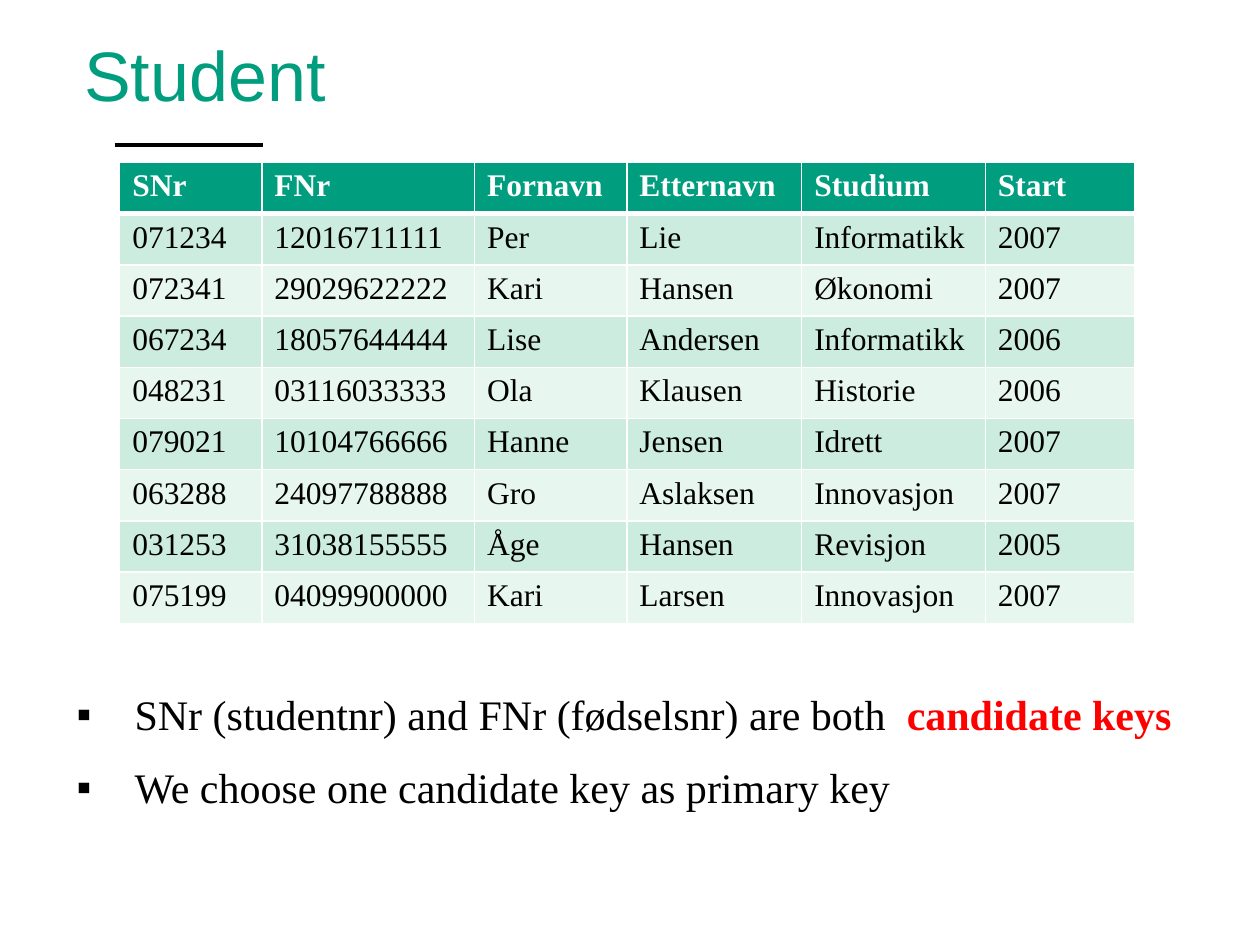
from pptx import Presentation
from pptx.dml.color import RGBColor
from pptx.enum.shapes import MSO_CONNECTOR
from pptx.enum.text import MSO_ANCHOR
from pptx.oxml.ns import qn
from pptx.util import Inches, Pt
from lxml.etree import SubElement

GREEN = RGBColor(0x00, 0x9D, 0x7F)
BAND_DARK = RGBColor(0xCB, 0xEC, 0xDE)
BAND_LIGHT = RGBColor(0xE7, 0xF6, 0xEF)
WHITE = RGBColor(0xFF, 0xFF, 0xFF)
BLACK = RGBColor(0, 0, 0)
RED = RGBColor(0xFF, 0, 0)
SERIF = "Times New Roman"

COLUMN_WIDTHS = [1.13, 1.69, 1.21, 1.39, 1.46, 1.19]
STUDENTS = [
    ("SNr", "FNr", "Fornavn", "Etternavn", "Studium", "Start"),
    ("071234", "12016711111", "Per", "Lie", "Informatikk", "2007"),
    ("072341", "29029622222", "Kari", "Hansen", "Økonomi", "2007"),
    ("067234", "18057644444", "Lise", "Andersen", "Informatikk", "2006"),
    ("048231", "03116033333", "Ola", "Klausen", "Historie", "2006"),
    ("079021", "10104766666", "Hanne", "Jensen", "Idrett", "2007"),
    ("063288", "24097788888", "Gro", "Aslaksen", "Innovasjon", "2007"),
    ("031253", "31038155555", "Åge", "Hansen", "Revisjon", "2005"),
    ("075199", "04099900000", "Kari", "Larsen", "Innovasjon", "2007"),
]
KEY_POINTS = [
    [("SNr (studentnr) and FNr (fødselsnr) are both  ", {}),
     ("candidate keys", {"color": RED, "bold": True})],
    [("We choose one candidate key as primary key", {})],
]


def add_text(paragraph, text, size=18, font=SERIF, color=BLACK, bold=False):
    run = paragraph.add_run()
    run.text = text
    run.font.size = Pt(size)
    run.font.name = font
    run.font.color.rgb = color
    run.font.bold = bold


def add_text_frame(slide, box, anchor):
    frame = slide.shapes.add_textbox(*box).text_frame
    frame.word_wrap = True
    frame.vertical_anchor = anchor
    return frame


def add_title(slide, box, text):
    frame = add_text_frame(slide, box, MSO_ANCHOR.BOTTOM)
    frame.margin_left = frame.margin_right = 0
    frame.margin_top = frame.margin_bottom = 0
    add_text(frame.paragraphs[0], text, size=40, font="Arial", color=GREEN)


def add_rule(slide, box):
    left, top, width, height = box
    rule = slide.shapes.add_connector(
        MSO_CONNECTOR.STRAIGHT, left, top, left + width, top + height)
    rule.line.color.rgb = BLACK
    rule.line.width = Pt(2.25)
    SubElement(rule._element.spPr, qn("a:effectLst"))


def set_borders(cell, **widths):
    properties = cell._tc.get_or_add_tcPr()
    for position, side in enumerate("LRTB"):
        border = properties.makeelement(
            qn("a:ln" + side), {"w": str(Pt(widths.get(side, 1)))})
        fill = SubElement(border, qn("a:solidFill"))
        SubElement(fill, qn("a:srgbClr"), val=str(WHITE))
        properties.insert(position, border)


def add_student_table(slide, box):
    height = box[3]
    table = slide.shapes.add_table(
        len(STUDENTS), len(COLUMN_WIDTHS), *box).table
    for column, share in zip(table.columns, COLUMN_WIDTHS):
        column.width = int(box[2] * share / sum(COLUMN_WIDTHS))
    for row_index, values in enumerate(STUDENTS):
        table.rows[row_index].height = int(height / len(STUDENTS))
        header = row_index == 0
        band = BAND_DARK if row_index % 2 else BAND_LIGHT
        for column_index, value in enumerate(values):
            cell = table.cell(row_index, column_index)
            cell.fill.solid()
            cell.fill.fore_color.rgb = GREEN if header else band
            # A thicker line separates the header from the body
            set_borders(cell, B=3 if header else 1, T=3 if row_index == 1 else 1)
            add_text(cell.text_frame.paragraphs[0], value,
                     color=WHITE if header else BLACK, bold=header)


def add_bullet(paragraph, indent):
    properties = paragraph._p.get_or_add_pPr()
    properties.set("marL", str(indent))
    properties.set("indent", str(-indent))
    color = SubElement(properties, qn("a:buClr"))
    SubElement(color, qn("a:srgbClr"), val=str(BLACK))
    SubElement(properties, qn("a:buFont"), typeface="Arial")
    SubElement(properties, qn("a:buChar"), char="▪")


def add_key_points(slide, box):
    frame = add_text_frame(slide, box, MSO_ANCHOR.MIDDLE)
    for index, runs in enumerate(KEY_POINTS):
        paragraph = frame.add_paragraph() if index else frame.paragraphs[0]
        if index:
            paragraph.space_before = Pt(13)
        add_bullet(paragraph, Inches(0.46))
        for text, formatting in runs:
            add_text(paragraph, text, size=24, **formatting)


def main():
    presentation = Presentation()
    presentation.slide_width = Inches(10)
    presentation.slide_height = Inches(7.5)
    slide = presentation.slides.add_slide(presentation.slide_layouts[6])

    # Regions: left, top, width, height
    add_title(slide, [Inches(n) for n in (0.67, 0.25, 7.46, 0.67)], "Student")
    add_student_table(slide, [Inches(n) for n in (0.95, 1.29, 8.06, 3.66)])
    add_key_points(slide, [Inches(n) for n in (0.51, 5.4, 8.98, 1.11)])
    add_rule(slide, [Inches(n) for n in (0.91, 1.15, 1.18, 0)])

    presentation.save("out.pptx")


main()
